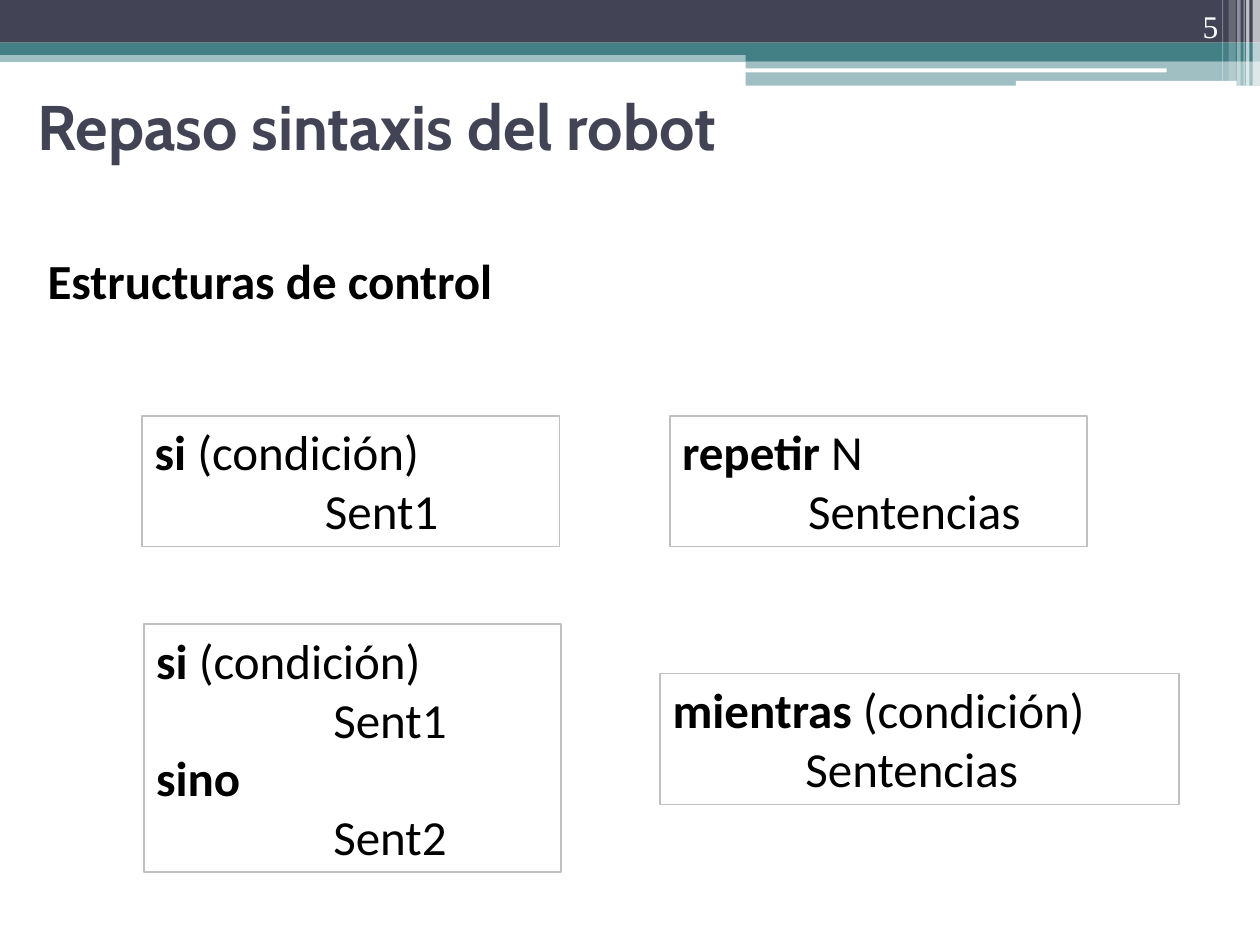
from dataclasses import dataclass

from lxml import etree
from pptx import Presentation
from pptx.dml.color import RGBColor
from pptx.enum.shapes import MSO_SHAPE
from pptx.enum.text import MSO_ANCHOR, MSO_AUTO_SIZE, PP_ALIGN
from pptx.oxml.ns import qn
from pptx.util import Cm, Pt

RECT = MSO_SHAPE.RECTANGLE
ROUND = MSO_SHAPE.ROUNDED_RECTANGLE
TOP, MIDDLE, BOTTOM = MSO_ANCHOR.TOP, MSO_ANCHOR.MIDDLE, MSO_ANCHOR.BOTTOM
LEFT, RIGHT = PP_ALIGN.LEFT, PP_ALIGN.RIGHT
NO_FIT = MSO_AUTO_SIZE.NONE
TITLE_ONLY = 5


@dataclass(frozen=True)
class Theme:
    navy: str = "424456"
    teal: str = "438086"
    white: str = "FFFFFF"
    black: str = "000000"
    border: str = "C0C0C0"
    title_font: str = "Cabin"
    body_font: str = "Calibri"
    number_font: str = "Times New Roman"
    title_size: int = 36
    body_size: int = 28
    number_size: int = 18


class SlideBuilder:
    def __init__(self, slide, theme):
        self.s = slide
        self.theme = theme

    def font(self, p, name, size, color, bold=None):
        p.font.name = name
        p.font.size = Pt(size)
        p.font.color.rgb = RGBColor.from_string(color)
        p.font.bold = bold

    def band(self, x, y, w, h, color, alpha=100, kind=RECT):
        sp = self.s.shapes.add_shape(kind, Cm(x), Cm(y), Cm(w), Cm(h))
        sp.shadow.inherit = False
        sp.line.fill.background()
        sp.fill.solid()
        sp.fill.fore_color.rgb = RGBColor.from_string(color)
        if alpha < 100:
            clr = sp.fill._xPr.find(qn("a:solidFill"))[0]
            etree.SubElement(clr, qn("a:alpha"), val=str(alpha * 1000))

    def title(self, text, x, y, w, h):
        t = self.theme
        sp = self.s.shapes.title
        sp.left, sp.top, sp.width, sp.height = Cm(x), Cm(y), Cm(w), Cm(h)
        tf = sp.text_frame
        tf.text = text
        tf.auto_size = NO_FIT
        tf.vertical_anchor = MIDDLE
        p = tf.paragraphs[0]
        p.alignment = LEFT
        self.font(p, t.title_font, t.title_size, t.navy, True)

    def label(self, text, x, y, w, h, font, size, color,
              bold=False, align=LEFT, anchor=TOP, wrap=True):
        sp = self.s.shapes.add_textbox(Cm(x), Cm(y), Cm(w), Cm(h))
        tf = sp.text_frame
        tf.word_wrap = wrap
        tf.vertical_anchor = anchor
        p = tf.paragraphs[0]
        p.text = text
        p.alignment = align
        self.font(p, font, size, color, bold)

    def code(self, lines, x, y, w, h):
        t = self.theme
        sp = self.s.shapes.add_shape(RECT, Cm(x), Cm(y), Cm(w), Cm(h))
        sp.shadow.inherit = False
        sp.fill.background()
        sp.line.color.rgb = RGBColor.from_string(t.border)
        sp.line.width = Pt(1)
        tf = sp.text_frame
        tf.word_wrap = True
        tf.vertical_anchor = TOP
        for i, (keyword, rest) in enumerate(lines):
            p = tf.paragraphs[0] if i == 0 else tf.add_paragraph()
            p.alignment = LEFT
            tabs = etree.SubElement(p._p.get_or_add_pPr(), qn("a:tabLst"))
            etree.SubElement(tabs, qn("a:tab"), pos=str(Cm(2.54)), algn="l")
            self.font(p, t.body_font, t.body_size, t.black)
            for text, bold in ((keyword, True), (rest, False)):
                if text:
                    r = p.add_run()
                    r.text = text
                    r.font.bold = bold


def main():
    prs = Presentation()
    prs.slide_width, prs.slide_height = Cm(25.4), Cm(19.05)
    theme = Theme()
    s = SlideBuilder(prs.slides.add_slide(prs.slide_layouts[TITLE_ONLY]), theme)

    s.band(0, 1.02, 25.4, 0.23, theme.teal, 50)
    s.band(0, 0, 25.4, 0.86, theme.navy)
    s.band(0, 0.86, 25.4, 0.25, theme.teal)
    s.band(15.03, 1, 10.37, 0.23, theme.teal)
    s.band(15.03, 1.23, 10.37, 0.5, theme.teal, 50)
    s.band(15.02, 1.38, 8.5, 0.08, theme.white, kind=ROUND)
    s.band(20.48, 1.63, 4.45, 0.1, theme.white, kind=ROUND)

    for x, w, h, alpha in (
        (25.25, 0.15, 1.73, 65),
        (25.12, 0.07, 1.73, 65),
        (25.07, 0.02, 1.73, 60),
        (24.94, 0.07, 1.73, 40),
        (24.77, 0.14, 1.63, 20),
        (24.64, 0.02, 1.63, 30),
    ):
        s.band(x, 0, w, h, theme.white, alpha)

    s.title("Repaso sintaxis del robot", 0.5, 0.94, 21.6, 3.17)
    s.label("5", 22.71, 0, 2.1, 1.02, theme.number_font, theme.number_size,
            theme.white, align=RIGHT, anchor=BOTTOM)

    condition = ("si", " (condición)")
    s.code([condition, ("", "\t    Sent1")], 2.87, 8.38, 8.41, 2.64)
    s.code([condition, ("", "                Sent1"),
            ("sino", ""), ("", "                Sent2")], 2.9, 12.58, 8.41, 5)
    s.code([("repetir", " N"), ("", "\tSentencias")], 13.5, 8.38, 8.41, 2.64)
    s.code([("mientras", " (condición)"), ("", "            Sentencias")],
           13.31, 13.58, 10.46, 2.64)

    s.label("Estructuras de control", 0.71, 4.93, 9.53, 1.45, theme.body_font,
            theme.body_size, theme.black, bold=True, wrap=False)

    prs.save("out.pptx")


if __name__ == "__main__":
    main()
